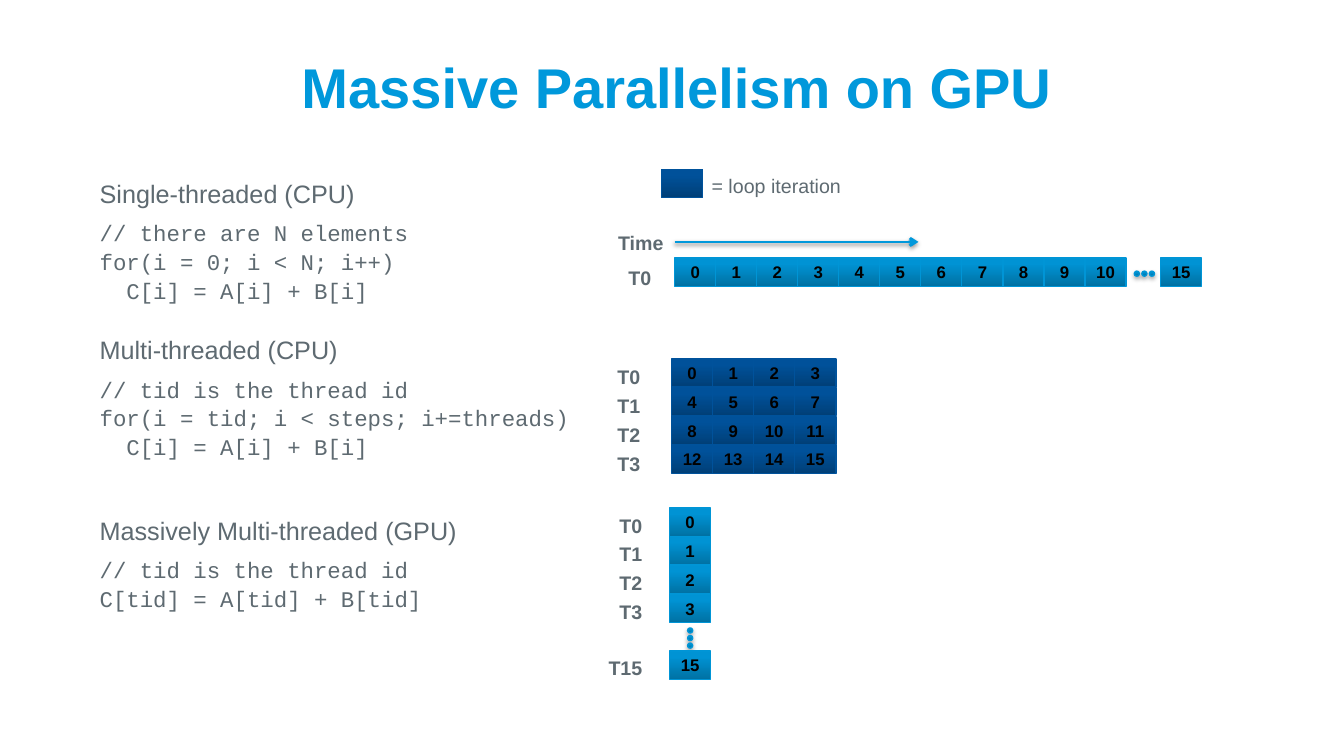
from copy import deepcopy
from dataclasses import dataclass

from pptx import Presentation
from pptx import util as u
from pptx.dml.color import RGBColor
from pptx.enum import shapes, text
from pptx.oxml import ns, parse_xml


@dataclass(frozen=True)
class Theme:
    sans: str = "Arial"
    mono: str = "Courier New"
    accent: str = "0098DB"
    body: str = "5E6A71"
    cell_text: str = "000000"
    # Gradient stops at 0, 80 and 100 percent, then the outline
    light: tuple = ("0071A3", "0093D4", "0094D5", "0095D6")
    dark: tuple = ("003F77", "00519A", "00529B", "00529B")
    title_size: int = 40
    heading_size: int = 18
    code_size: int = 16
    label_size: int = 14
    cell_size: int = 12
    line_spacing: float = 1.07


CELL_W, CELL_H = 0.41, 0.28
COLUMN_STEP, ROW_STEP = 4.07 / 10, 0.57 / 2
DOT, DOT_STEP = 0.05, 0.15 / 2


def place(left, top, width, height):
    return [u.Inches(value) for value in (left, top, width, height)]


def set_all(target, values):
    for name, value in values.items():
        setattr(target, name, value)


def add_shadow(shape, opacity, distance):
    effects = shape.element.spPr.find(ns.qn("a:effectLst"))
    if effects is None:
        effects = parse_xml(f'<a:effectLst {ns.nsdecls("a")}/>')
        shape.element.spPr.append(effects)
    effects.append(parse_xml(
        f'<a:outerShdw {ns.nsdecls("a")} blurRad="{u.Pt(3.1)}" dist="{u.Pt(distance)}" '
        f'dir="5400000" rotWithShape="0"><a:srgbClr val="000000">'
        f'<a:alpha val="{opacity * 1000}"/></a:srgbClr></a:outerShdw>'))


class Slide:
    def __init__(self, deck, theme):
        self.theme = theme
        self.page = deck.slides.add_slide(deck.slide_layouts[5])

    def fill_text(self, frame, content, size, color, font=None, bold=False,
                  align=text.PP_ALIGN.LEFT, spacing=1.0):
        for index, line in enumerate(content.split("\n")):
            para = frame.paragraphs[0] if index == 0 else frame.add_paragraph()
            set_all(para, {"alignment": align, "line_spacing": spacing})
            span = para.add_run()
            span.text = line
            set_all(span.font, {"name": font or self.theme.sans,
                                "size": u.Pt(size), "bold": bold})
            span.font.color.rgb = RGBColor.from_string(color)

    def title(self, content, left, top, width, height):
        box = self.page.shapes.title
        set_all(box, dict(zip(("left", "top", "width", "height"),
                              place(left, top, width, height))))
        box.text_frame.vertical_anchor = text.MSO_ANCHOR.BOTTOM
        self.fill_text(box.text_frame, content, self.theme.title_size,
                       self.theme.accent, bold=True)

    def text(self, content, left, top, width, height, size, **style):
        box = self.page.shapes.add_textbox(*place(left, top, width, height))
        set_all(box.text_frame, {"word_wrap": False,
                                 "auto_size": text.MSO_AUTO_SIZE.SHAPE_TO_FIT_TEXT})
        self.fill_text(box.text_frame, content, size, self.theme.body,
                       spacing=self.theme.line_spacing, **style)

    def label(self, content, right, top, width=0.43):
        self.text(content, right - width, top, width, 0.34, self.theme.label_size,
                  bold=True, align=text.PP_ALIGN.RIGHT)

    def section(self, heading, heading_width, top, code, code_width, code_height):
        self.text(heading, 0.89, top, heading_width, 0.4, self.theme.heading_size)
        self.text(code, 0.89, top + 0.41, code_width, code_height,
                  self.theme.code_size, font=self.theme.mono)

    def shaded(self, kind, left, top, width, height, colors):
        """Add a shape with an upward three-stop gradient."""
        shape = self.page.shapes.add_shape(kind, *place(left, top, width, height))
        shape.shadow.inherit = False
        shape.fill.gradient()
        shape.fill.gradient_angle = 90
        last_stop = shape.element.spPr.findall(".//" + ns.qn("a:gs"))[-1]
        last_stop.addnext(deepcopy(last_stop))
        for stop, position, color in zip(shape.fill.gradient_stops, (0, 0.8, 1), colors):
            stop.position = position
            stop.color.rgb = RGBColor.from_string(color)
        shape.line.color.rgb = RGBColor.from_string(colors[-1])
        shape.line.width = u.Pt(1)
        return shape

    def cell(self, left, top, colors, number=None):
        box = self.shaded(shapes.MSO_SHAPE.RECTANGLE, left, top, CELL_W, CELL_H, colors)
        if number is not None:
            box.text_frame.vertical_anchor = text.MSO_ANCHOR.MIDDLE
            self.fill_text(box.text_frame, str(number), self.theme.cell_size,
                           self.theme.cell_text, bold=True, align=text.PP_ALIGN.CENTER)

    def grid(self, left, top, rows, columns, colors):
        for number in range(rows * columns):
            row, column = divmod(number, columns)
            self.cell(left + column * COLUMN_STEP, top + row * ROW_STEP, colors, number)

    def thread_labels(self, right, top, count):
        for thread in range(count):
            self.label(f"T{thread}", right, top + thread * ROW_STEP)

    def ellipsis(self, left, top, step_x=0, step_y=0):
        for index in range(3):
            dot = self.shaded(shapes.MSO_SHAPE.OVAL, left + index * step_x,
                              top + index * step_y, DOT, DOT, self.theme.light)
            add_shadow(dot, 35, 1.8)

    def arrow(self, left, right, y):
        line = self.page.shapes.add_connector(
            shapes.MSO_CONNECTOR.STRAIGHT,
            u.Inches(left), u.Inches(y), u.Inches(right), u.Inches(y))
        line.line.color.rgb = RGBColor.from_string(self.theme.accent)
        line.line.width = u.Pt(2)
        line.element.spPr.find(ns.qn("a:ln")).append(
            parse_xml(f'<a:tailEnd {ns.nsdecls("a")} type="arrow"/>'))
        add_shadow(line, 38, 1.6)


def main():
    deck = Presentation()
    set_all(deck, {"slide_width": u.Inches(13.33), "slide_height": u.Inches(7.5)})
    theme = Theme()
    slide = Slide(deck, theme)
    slide.title("Massive Parallelism on GPU", 2.89, 0.15, 9.78, 1.09)

    slide.section("Single-threaded (CPU)", 2.76, 1.7,
                  "// there are N elements\n"
                  "for(i = 0; i < N; i++)\n"
                  "  C[i] = A[i] + B[i]", 3.3, 0.91)
    slide.section("Multi-threaded (CPU)", 2.59, 3.25,
                  "// tid is the thread id\n"
                  "for(i = tid; i < steps; i+=threads)\n"
                  "  C[i] = A[i] + B[i]", 4.93, 0.91)
    slide.section("Massively Multi-threaded (GPU)", 3.78, 5.04,
                  "// tid is the thread id\n"
                  "C[tid] = A[tid] + B[tid]", 3.43, 0.64)

    # Legend and time axis
    slide.cell(6.56, 1.68, theme.dark)
    slide.text("= loop iteration", 6.96, 1.66, 1.5, 0.34, theme.label_size)
    slide.label("Time", 6.68, 2.23, 0.66)
    slide.arrow(6.69, 9.11, 2.4)

    # Single thread
    slide.thread_labels(6.56, 2.57, 1)
    slide.grid(6.69, 2.56, 1, 11, theme.light)
    slide.ellipsis(11.25, 2.69, step_x=DOT_STEP)
    slide.cell(11.51, 2.56, theme.light, 15)

    # Four threads
    slide.thread_labels(6.45, 3.56, 4)
    slide.grid(6.66, 3.56, 4, 4, theme.dark)

    # One thread per element
    slide.thread_labels(6.47, 5.03, 4)
    slide.grid(6.64, 5.04, 4, 1, theme.light)
    slide.ellipsis(6.82, 6.23, step_y=DOT_STEP)
    slide.label("T15", 6.47, 6.44, 0.54)
    slide.cell(6.64, 6.46, theme.light, 15)

    deck.save("out.pptx")


if __name__ == "__main__":
    main()
